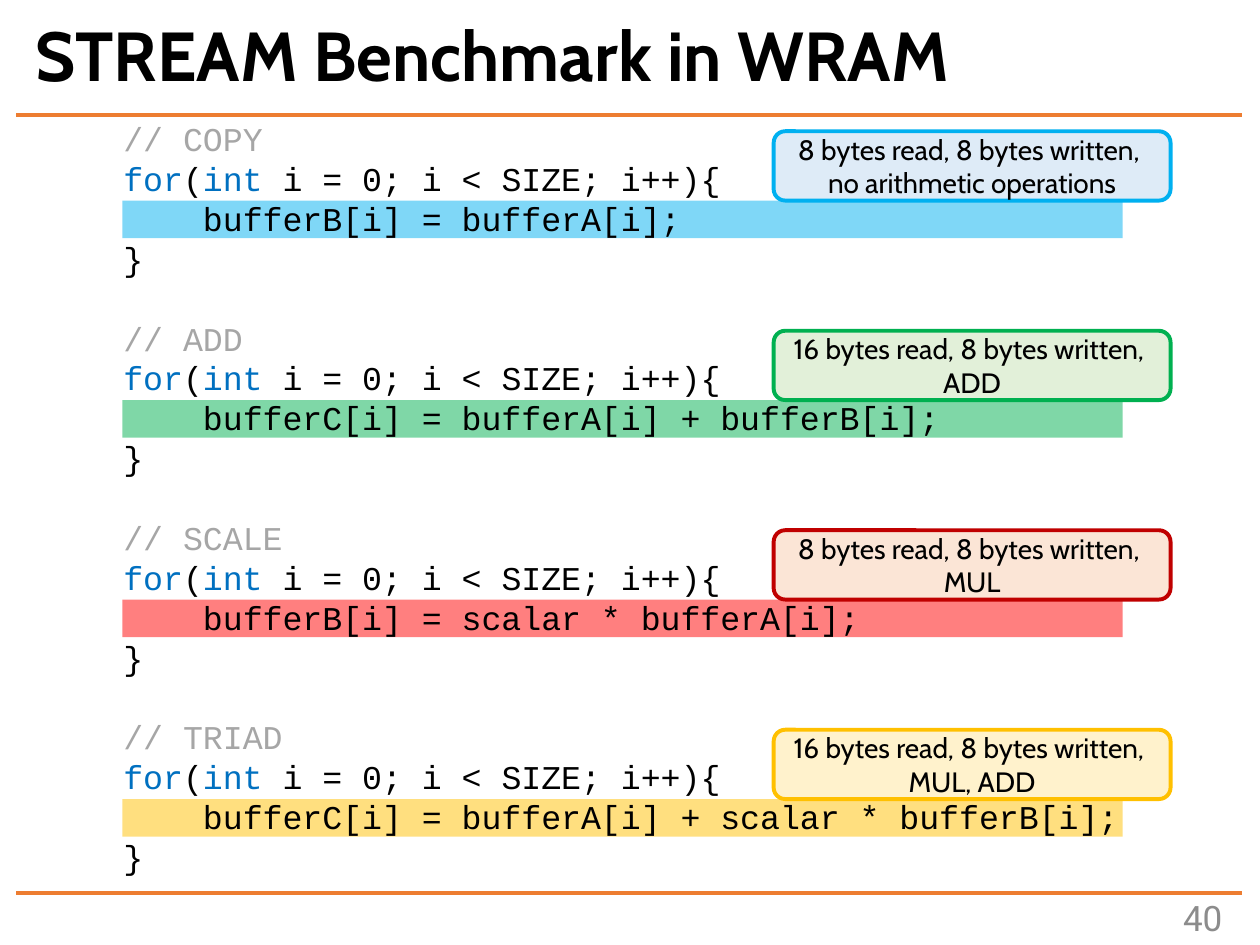
import pptx
import pptx.dml.color
import pptx.enum.shapes
import pptx.enum.text
import pptx.oxml
import pptx.oxml.ns
import pptx.util

Pt = pptx.util.Pt
SHAPES = pptx.enum.shapes.MSO_SHAPE
ALIGN = pptx.enum.text.PP_ALIGN
ANCHOR = pptx.enum.text.MSO_ANCHOR
AUTO_SIZE = pptx.enum.text.MSO_AUTO_SIZE

COLORS = {
    "text": "000000", "comment": "A6A6A6", "keyword": "0070C0",
    "rule": "ED7D31", "number": "8C8C8C",
    "blue": "00B0F0", "blue_light": "DEEBF7",
    "green": "00B050", "green_light": "E2F0D9",
    "red": "FF0000", "dark_red": "C00000", "red_light": "FBE5D6",
    "gold": "FFC000", "gold_light": "FFF2CC",
}
LINE_PITCH = 22.8
KERNEL_PITCH = 5 * LINE_PITCH

# name, statement, callout lines, bar colour, callout outline, callout fill
KERNELS = [
    ("COPY", "bufferB[i] = bufferA[i];",
     ["8 bytes read, 8 bytes written, ", "no arithmetic operations"],
     "blue", "blue", "blue_light"),
    ("ADD", "bufferC[i] = bufferA[i] + bufferB[i];",
     ["16 bytes read, 8 bytes written, ", "ADD"],
     "green", "green", "green_light"),
    ("SCALE", "bufferB[i] = scalar * bufferA[i];",
     ["8 bytes read, 8 bytes written, ", "MUL"],
     "red", "dark_red", "red_light"),
    ("TRIAD", "bufferC[i] = bufferA[i] + scalar * bufferB[i];",
     ["16 bytes read, 8 bytes written, ", "MUL, ADD"],
     "gold", "gold", "gold_light"),
]


def rgb(color):
    return pptx.dml.color.RGBColor.from_string(COLORS[color])


def points(box):
    return [Pt(value) for value in box]


def add_span(para, text, font="Cabin", size=16, color="text", bold=False):
    span = para.add_run()
    span.text = text
    span.font.name = font
    span.font.size = Pt(size)
    span.font.bold = bold
    span.font.color.rgb = rgb(color)


def add_filled_shape(page, kind, box, fill, outline=None):
    shape = page.shapes.add_shape(kind, *points(box))
    shape.shadow.inherit = False
    shape.fill.solid()
    shape.fill.fore_color.rgb = rgb(fill)
    if outline:
        shape.line.color.rgb = rgb(outline)
        shape.line.width = Pt(2.25)
    else:
        shape.line.fill.background()
    return shape


def add_rule(page, left, right, top):
    rule = page.shapes.add_connector(
        pptx.enum.shapes.MSO_CONNECTOR.STRAIGHT, *points((left, top, right, top)))
    rule.line.color.rgb = rgb("rule")
    rule.line.width = Pt(2.25)
    pptx.oxml.ns.qn("a:effectLst")
    rule._element.spPr.append(pptx.oxml.parse_xml(
        '<a:effectLst xmlns:a="http://schemas.openxmlformats.org/drawingml/2006/main"/>'))


def add_title(page, box, text):
    title = page.shapes.title
    title.left, title.top, title.width, title.height = points(box)
    frame = title.text_frame
    frame.auto_size = AUTO_SIZE.NONE
    frame.vertical_anchor = ANCHOR.MIDDLE
    para = frame.paragraphs[0]
    para.alignment = ALIGN.LEFT
    para.line_spacing = 0.9
    add_span(para, text, size=39.6, bold=True)


def add_page_number(page, box, number):
    frame = page.shapes.add_textbox(*points(box)).text_frame
    frame.word_wrap = True
    frame.vertical_anchor = ANCHOR.MIDDLE
    para = frame.paragraphs[0]
    para.alignment = ALIGN.RIGHT
    add_span(para, number, font="Roboto", size=20, color="number")


def add_bar(page, box, fill):
    bar = add_filled_shape(page, SHAPES.RECTANGLE, box, fill)
    color = bar._element.spPr.find(".//" + pptx.oxml.ns.qn("a:srgbClr"))
    alpha = color.makeelement(pptx.oxml.ns.qn("a:alpha"), {"val": "50000"})
    color.append(alpha)


def add_callout(page, box, lines, fill, outline):
    callout = add_filled_shape(page, SHAPES.ROUNDED_RECTANGLE, box, fill, outline)
    frame = callout.text_frame
    frame.word_wrap = True
    frame.vertical_anchor = ANCHOR.MIDDLE
    for index, line in enumerate(lines):
        para = frame.add_paragraph() if index else frame.paragraphs[0]
        para.alignment = ALIGN.CENTER
        add_span(para, line)


def add_code(page, box):
    frame = page.shapes.add_textbox(*points(box)).text_frame
    frame.word_wrap = False
    for index, (name, statement, *_) in enumerate(KERNELS):
        code_lines = [
            [("// " + name, "comment")],
            [("for", "keyword"), ("(", "text"), ("int ", "keyword"),
             ("i = 0; i < SIZE; i++){", "text")],
            [("    " + statement, "text")],
            [("}", "text")],
        ]
        for row, spans in enumerate(code_lines):
            first = index == 0 and row == 0
            para = frame.paragraphs[0] if first else frame.add_paragraph()
            para.line_spacing = Pt(LINE_PITCH)
            if index and row == 0:
                para.space_before = Pt(LINE_PITCH)
            for text, color in spans:
                add_span(para, text, font="Courier New", size=19, color=color)


def add_kernels(page, box):
    left, top, width, height = box
    # Highlight bars behind the statements
    for index, (_, _, _, bar_color, _, _) in enumerate(KERNELS):
        bar_top = top + 50.6 + index * KERNEL_PITCH
        add_bar(page, (left + 6.5, bar_top, 571.7, 21.4), bar_color)
    # Callouts with the cost of each kernel
    for index, (_, _, lines, _, outline, fill) in enumerate(KERNELS):
        callout_top = top + 10.9 + index * KERNEL_PITCH
        add_callout(page, (left + 378.7, callout_top, 226.8, 39.6), lines, fill, outline)
    # Code listing
    add_code(page, box)


def main():
    deck = pptx.Presentation()
    deck.slide_width, deck.slide_height = Pt(720), Pt(540)
    page = deck.slides.add_slide(deck.slide_layouts[5])

    # Frame of the page
    add_page_number(page, (627.8, 509.8, 77.8, 28.8), "40")
    for top in (65.5, 510.5):
        add_rule(page, 9.4, 709.9, top)
    add_title(page, (13, 10.1, 700.6, 47.5), "STREAM Benchmark in WRAM")

    # Four kernels
    add_kernels(page, (63.4, 64.1, 589, 445))
    deck.save("out.pptx")


if __name__ == "__main__":
    main()
